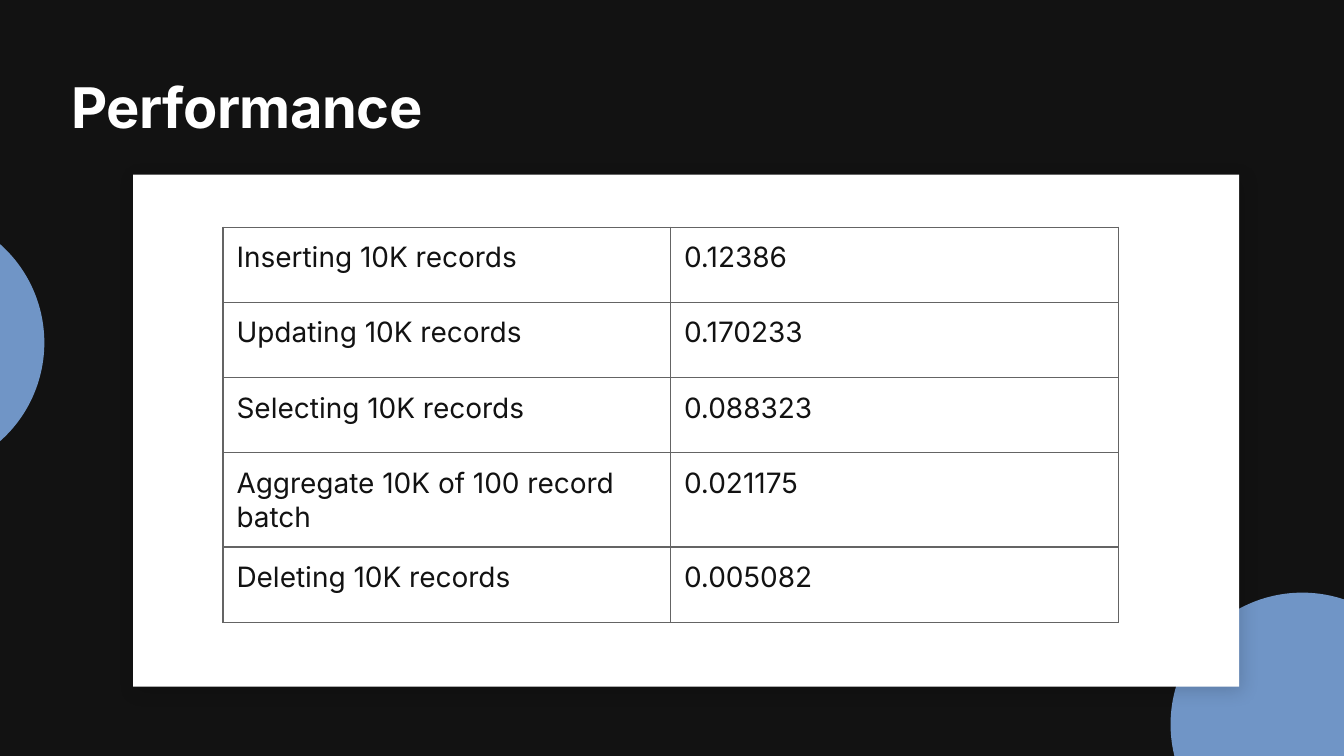
from dataclasses import dataclass

from lxml import etree
from pptx import Presentation
from pptx.dml.color import RGBColor
from pptx.enum.shapes import MSO_SHAPE as Shape
from pptx.oxml.ns import qn
from pptx.util import Inches, Pt


@dataclass(frozen=True)
class Theme:
    font: str = "Inter"
    dark: str = "121212"
    white: str = "FFFFFF"
    accent: str = "7095C6"
    border: str = "646464"
    shadow: str = "000000"
    title_size: float = 30
    body_size: float = 15
    border_width: float = 0.75


RESULTS = [
    ("Inserting 10K records", "0.12386"),
    ("Updating 10K records", "0.170233"),
    ("Selecting 10K records", "0.088323"),
    ("Aggregate 10K of 100 record batch", "0.021175"),
    ("Deleting 10K records", "0.005082"),
]


def write_text(frame, text, *, font, size, color, bold=False, line_spacing=None, tracking=None):
    para = frame.paragraphs[0]
    if line_spacing:
        para.line_spacing = Pt(line_spacing)
    span = para.add_run()
    span.text = text
    span.font.name = font
    span.font.size = Pt(size)
    span.font.bold = bold
    span.font.color.rgb = RGBColor.from_string(color)
    if tracking:
        span.font._element.set("spc", str(round(tracking * 100)))


def add_element(parent, tag, **attributes):
    """Append a DrawingML child element with the given attributes."""
    child = etree.SubElement(parent, qn(tag))
    for name, value in attributes.items():
        child.set(name, str(value))
    return child


class PageBuilder:
    def __init__(self, page, theme):
        self.page = page
        self.theme = theme

    def background(self):
        fill = self.page.background.fill
        fill.solid()
        fill.fore_color.rgb = RGBColor.from_string(self.theme.dark)

    def title(self, text, left, top, width, height):
        box = self.page.shapes.add_textbox(*map(Inches, (left, top, width, height)))
        frame = box.text_frame
        frame.word_wrap = True
        frame.margin_left = frame.margin_top = frame.margin_right = frame.margin_bottom = 0
        write_text(frame, text, font=self.theme.font, size=self.theme.title_size,
                   color=self.theme.white, bold=True, line_spacing=37.5, tracking=-0.25)

    def shape(self, kind, color, left, top, width, height):
        shape = self.page.shapes.add_shape(kind, *map(Inches, (left, top, width, height)))
        shape.fill.solid()
        shape.fill.fore_color.rgb = RGBColor.from_string(color)
        shape.line.fill.background()
        shape.shadow.inherit = False
        return shape

    def circle(self, left, top, diameter):
        self.shape(Shape.OVAL, self.theme.accent, left, top, diameter, diameter)

    def card(self, left, top, width, height):
        """White square-cornered panel with a soft drop shadow."""
        panel = self.shape(Shape.ROUNDED_RECTANGLE, self.theme.white, left, top, width, height)
        panel.adjustments[0] = 0
        effects = panel._element.spPr.find(qn("a:effectLst"))
        shadow = add_element(effects, "a:outerShdw", blurRad=Pt(10), dist=Pt(3),
                             dir=60 * 60000, algn="bl", rotWithShape=0)
        color = add_element(shadow, "a:srgbClr", val=self.theme.shadow)
        add_element(color, "a:alpha", val=15000)

    def table(self, rows, left, top, column_width, row_height):
        columns = len(rows[0])
        table = self.page.shapes.add_table(
            len(rows), columns, Inches(left), Inches(top),
            Inches(column_width * columns), Inches(row_height * len(rows))).table
        table.first_row = table.horz_banding = False
        for column in table.columns:
            column.width = Inches(column_width)
        for row, texts in zip(table.rows, rows):
            row.height = Inches(row_height)
            for cell, text in zip(row.cells, texts):
                self.cell(cell, text)

    def cell(self, cell, text):
        margin = Inches(0.1)
        cell.margin_left = cell.margin_top = cell.margin_right = cell.margin_bottom = margin
        properties = cell._tc.get_or_add_tcPr()
        for side in ("a:lnL", "a:lnR", "a:lnT", "a:lnB"):
            line = add_element(properties, side, w=Pt(self.theme.border_width))
            fill = add_element(line, "a:solidFill")
            add_element(fill, "a:srgbClr", val=self.theme.border)
        cell.fill.background()
        write_text(cell.text_frame, text, font=self.theme.font,
                   size=self.theme.body_size, color=self.theme.dark)


def main():
    deck = Presentation()
    deck.slide_width = Inches(10)
    deck.slide_height = deck.slide_width * 9 // 16
    builder = PageBuilder(deck.slides.add_slide(deck.slide_layouts[6]), Theme())

    builder.background()
    builder.title("Performance", 0.53, 0.52, 5, 0.52)
    builder.circle(8.71, 4.41, 1.96)
    builder.circle(-1.63, 1.57, 1.96)
    builder.card(0.99, 1.3, 8.23, 3.81)
    builder.table(RESULTS, 1.66, 1.69, column_width=3.33, row_height=0.56)

    deck.save("out.pptx")


if __name__ == "__main__":
    main()
